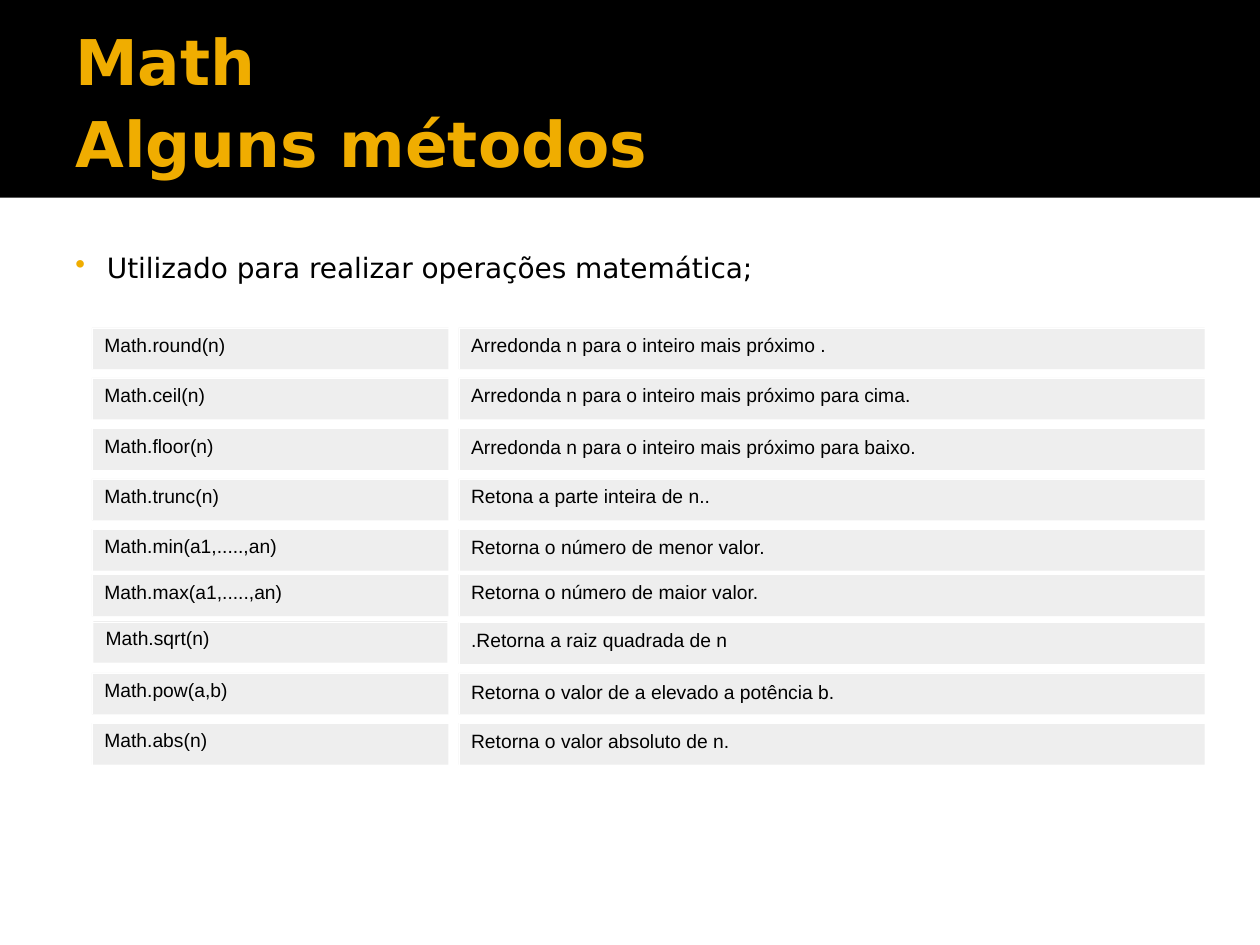
from itertools import accumulate
from lxml import etree
from pptx import Presentation, util as u
from pptx.dml.color import RGBColor
from pptx.enum import shapes, text
from pptx.oxml import ns

TITLE = "Math\vAlguns métodos"
INTRO = "Utilizado para realizar operações matemática;"
METHODS = [
    ("Math.round(n)", "Arredonda n para o inteiro mais próximo .", 0.06, 0.94),
    ("Math.ceil(n)", "Arredonda n para o inteiro mais próximo para cima.", 0.06, 0.94),
    ("Math.floor(n)", "Arredonda n para o inteiro mais próximo para baixo.", 0.07, 0.94),
    ("Math.trunc(n)", "Retona a parte inteira de n..", 0.07, 0.87),
    ("Math.min(a1,.....,an)", "Retorna o número de menor valor.", 0.07, 0.87),
    ("Math.max(a1,.....,an)", "Retorna o número de maior valor.", 0.07, 0.87),
    ("Math.sqrt(n)", ".Retorna a raiz quadrada de n", 0.07, 0.87),
    ("Math.pow(a,b)", "Retorna o valor de a elevado a potência b.", 0.07, 0.94),
    ("Math.abs(n)", "Retorna o valor absoluto de n.", 0.07, 0.87),
]

THEME = {
    "band": "000000", "cell": "EEEEEE", "rule": "FFFFFF", "accent": "F0AD00",
    "title": {"name": "DejaVu Sans", "size": 36, "bold": True, "color": "F0AD00"},
    "spacer": {"name": "Calibri", "size": 45, "bold": True, "color": "F0AD00"},
    "intro": {"name": "DejaVu Sans", "size": 16, "color": "000000"},
    "method": {"name": "Arial", "size": 11, "color": "000000"},
}

WIDTH, HEIGHT = 10, 7.5
MARGIN = WIDTH * 0.05
BAND_HEIGHT = 1.57
COLUMNS = [(0.73, 2.83), (3.64, 5.92)]
ROW_STEPS = [0.4] * 4 + [0.36, 0.38] + [0.4] * 2
ROW_TOPS = list(accumulate(ROW_STEPS, initial=2.6))
CELL_HEIGHT = 0.33
NUDGES = {("Math.sqrt(n)"): 0.01}


def inches(*values):
    return [u.Inches(value) for value in values]


def set_all(target, values):
    for name, value in values.items():
        setattr(target, name, value)


def add_run(paragraph, words, style):
    run = paragraph.add_run()
    run.text = words
    values = {**THEME[style]}
    run.font.color.rgb = RGBColor.from_string(values.pop("color"))
    set_all(run.font, {**values, "size": u.Pt(values["size"])})


def fill_text(shape, words, style, inset=0.05, anchor=text.MSO_ANCHOR.TOP, **layout):
    frame = shape.text_frame
    set_all(frame, {
        "word_wrap": True, "vertical_anchor": anchor,
        "margin_left": u.Inches(0.1), "margin_right": u.Inches(0.1),
        "margin_top": u.Inches(inset), "margin_bottom": u.Inches(0.05),
    })
    paragraph = frame.paragraphs[0]
    set_all(paragraph, {"alignment": text.PP_ALIGN.LEFT, **layout})
    for part in words.split("\v"):
        if part != words.split("\v")[0]:
            paragraph.add_line_break()
        add_run(paragraph, part, style)
    return paragraph


def add_block(slide, box, color):
    shape = slide.shapes.add_shape(shapes.MSO_SHAPE.RECTANGLE, *inches(*box))
    shape.shadow.inherit = False
    shape.fill.solid()
    shape.fill.fore_color.rgb = RGBColor.from_string(color)
    shape.line.fill.background()
    return shape


def add_rule(slide, *ends):
    rule = slide.shapes.add_connector(shapes.MSO_CONNECTOR.STRAIGHT, *inches(*ends))
    rule.line.color.rgb = RGBColor.from_string(THEME["rule"])
    rule.line.width = u.Pt(0.06)
    etree.SubElement(rule.element.spPr, ns.qn("a:effectLst"))


def add_bullet(paragraph):
    properties = paragraph._p.get_or_add_pPr()
    set_indent = {"marL": u.Inches(0.25), "indent": u.Inches(-0.25)}
    for name, value in set_indent.items():
        properties.set(name, str(int(value)))
    color = etree.SubElement(properties, ns.qn("a:buClr"))
    etree.SubElement(color, ns.qn("a:srgbClr"), val=THEME["accent"])
    etree.SubElement(properties, ns.qn("a:buSzPct"), val="103000")
    etree.SubElement(properties, ns.qn("a:buChar"), char="•")


def add_header(slide):
    add_block(slide, (0, 0, WIDTH, BAND_HEIGHT), THEME["band"])
    title = slide.shapes.add_textbox(*inches(MARGIN, 0.17, WIDTH - 2 * MARGIN, 1.37))
    paragraph = fill_text(title, TITLE, "title", anchor=text.MSO_ANCHOR.MIDDLE,
                          line_spacing=0.9)
    add_run(paragraph, " ", "spacer")
    intro = slide.shapes.add_textbox(*inches(MARGIN, 1.94, WIDTH - 2 * MARGIN, 5.06))
    add_bullet(fill_text(intro, INTRO, "intro", alignment=text.PP_ALIGN.JUSTIFY,
                         space_after=u.Pt(14.3)))


def add_methods(slide):
    for top, (method, meaning, inset, spacing) in zip(ROW_TOPS, METHODS):
        cells = [(method, 0.06, 0.93), (meaning, inset, spacing)]
        for (left, width), (words, cell_inset, cell_spacing) in zip(COLUMNS, cells):
            nudge = NUDGES.get(words, 0)
            box = (left + nudge, top - nudge, width - 2 * nudge, CELL_HEIGHT)
            fill_text(add_block(slide, box, THEME["cell"]), words, "method",
                      inset=cell_inset, line_spacing=cell_spacing)
            add_rule(slide, left, top, left + width, top)
            add_rule(slide, left, top, left, top + CELL_HEIGHT)


def main():
    presentation = Presentation()
    set_all(presentation, {"slide_width": u.Inches(WIDTH), "slide_height": u.Inches(HEIGHT)})
    slide = presentation.slides.add_slide(presentation.slide_layouts[6])
    add_header(slide)
    add_methods(slide)
    presentation.save("out.pptx")


if __name__ == "__main__":
    main()
